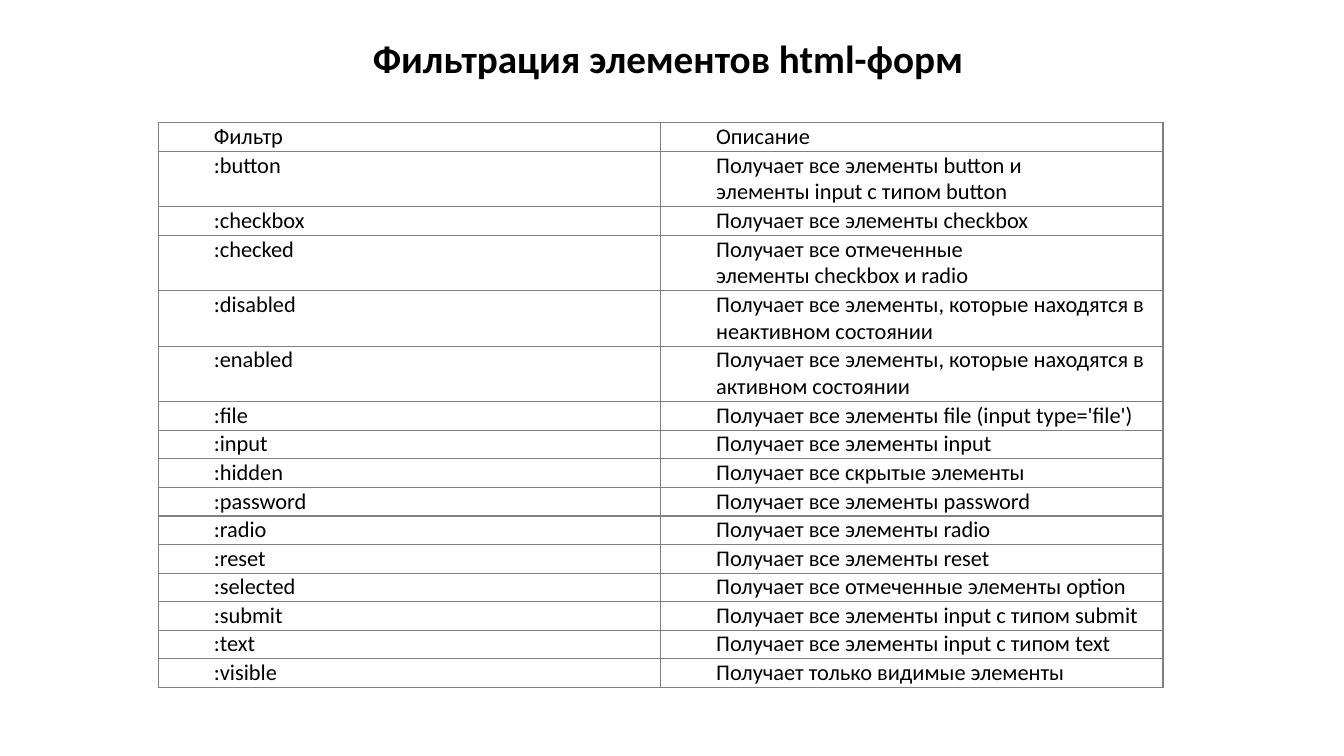
from math import ceil

from lxml import etree
from pptx import Presentation
from pptx.dml import color
from pptx.enum import text
from pptx.oxml import ns
from pptx.util import Pt

COLORS = {"text": "000000", "border": "808080"}
NBSP = chr(160)
LINE_CHARS = 48  # characters that fit on one line of a cell

# "~" marks a non-breaking space
FILTERS = [
    ("Фильтр", "Описание"),
    (":button", "Получает все элементы~button~и элементы~input~с типом~button"),
    (":checkbox", "Получает все элементы~checkbox"),
    (":checked", "Получает все отмеченные элементы~checkbox~и~radio"),
    (":disabled", "Получает все элементы, которые находятся в неактивном состоянии"),
    (":enabled", "Получает все элементы, которые находятся в активном состоянии"),
    (":file", "Получает все элементы file (input type='file')"),
    (":input", "Получает все элементы~input"),
    (":hidden", "Получает все скрытые элементы"),
    (":password", "Получает все элементы~password"),
    (":radio", "Получает все элементы~radio"),
    (":reset", "Получает все элементы~reset"),
    (":selected", "Получает все отмеченные элементы~option"),
    (":submit", "Получает все элементы~input~с типом~submit"),
    (":text", "Получает все элементы~input~с типом~text"),
    (":visible", "Получает только видимые элементы"),
]


class Deck:
    font = "Calibri"
    title_size = 28
    cell_size = 16
    line_height = 19.2
    cell_inset = 0.6

    def __init__(self, width, height):
        self.prs = Presentation()
        self.prs.slide_width, self.prs.slide_height = Pt(width), Pt(height)
        self.slide = self.prs.slides.add_slide(self.prs.slide_layouts[6])

    def run(self, p, words, size, bold=False):
        r = p.add_run()
        r.text = words.replace("~", NBSP)
        r.font.name = self.font
        r.font.size = Pt(size)
        r.font.bold = bold
        r.font.color.rgb = color.RGBColor.from_string(COLORS["text"])

    def title(self, words, left, top, width, height):
        sp = self.slide.shapes.add_textbox(Pt(left), Pt(top), Pt(width), Pt(height))
        tf = sp.text_frame
        tf.word_wrap = False
        tf.auto_size = text.MSO_AUTO_SIZE.SHAPE_TO_FIT_TEXT
        self.run(tf.paragraphs[0], words, self.title_size, bold=True)

    def table(self, rows, left, top, width):
        heights = [ceil(max(map(len, row)) / LINE_CHARS) * self.line_height
                   + 2 * self.cell_inset for row in rows]
        frame = self.slide.shapes.add_table(
            len(rows), len(rows[0]), Pt(left), Pt(top), Pt(width), Pt(sum(heights)))
        table = frame.table
        table.first_row = table.horz_banding = False
        for i, (row, height) in enumerate(zip(rows, heights)):
            table.rows[i].height = Pt(height)
            for j, words in enumerate(row):
                self.cell(table.cell(i, j), words)

    def cell(self, cell, words):
        cell.margin_left, cell.margin_right = Pt(3.6), Pt(2.2)
        cell.margin_top = cell.margin_bottom = Pt(self.cell_inset)
        p = cell.text_frame.paragraphs[0]
        p.level = 1
        p.line_spacing = Pt(self.line_height)
        pPr = p._p.get_or_add_pPr()
        pPr.set("marL", str(Pt(36)))
        pPr.set("indent", "0")
        self.run(p, words, self.cell_size)
        self.borders(cell)
        cell.fill.background()

    def borders(self, cell):
        tcPr = cell._tc.get_or_add_tcPr()
        for side in ("lnL", "lnR", "lnT", "lnB"):
            ln = etree.SubElement(tcPr, ns.qn("a:" + side), w=str(Pt(1)))
            fill = etree.SubElement(ln, ns.qn("a:solidFill"))
            etree.SubElement(fill, ns.qn("a:srgbClr"), val=COLORS["border"])


def main():
    deck = Deck(960, 540)
    deck.title("Фильтрация элементов html-форм", 259.2, 20.9, 441.4, 41)
    deck.table(FILTERS, 113.2, 87.7, 717.6)
    deck.prs.save("out.pptx")


if __name__ == "__main__":
    main()
